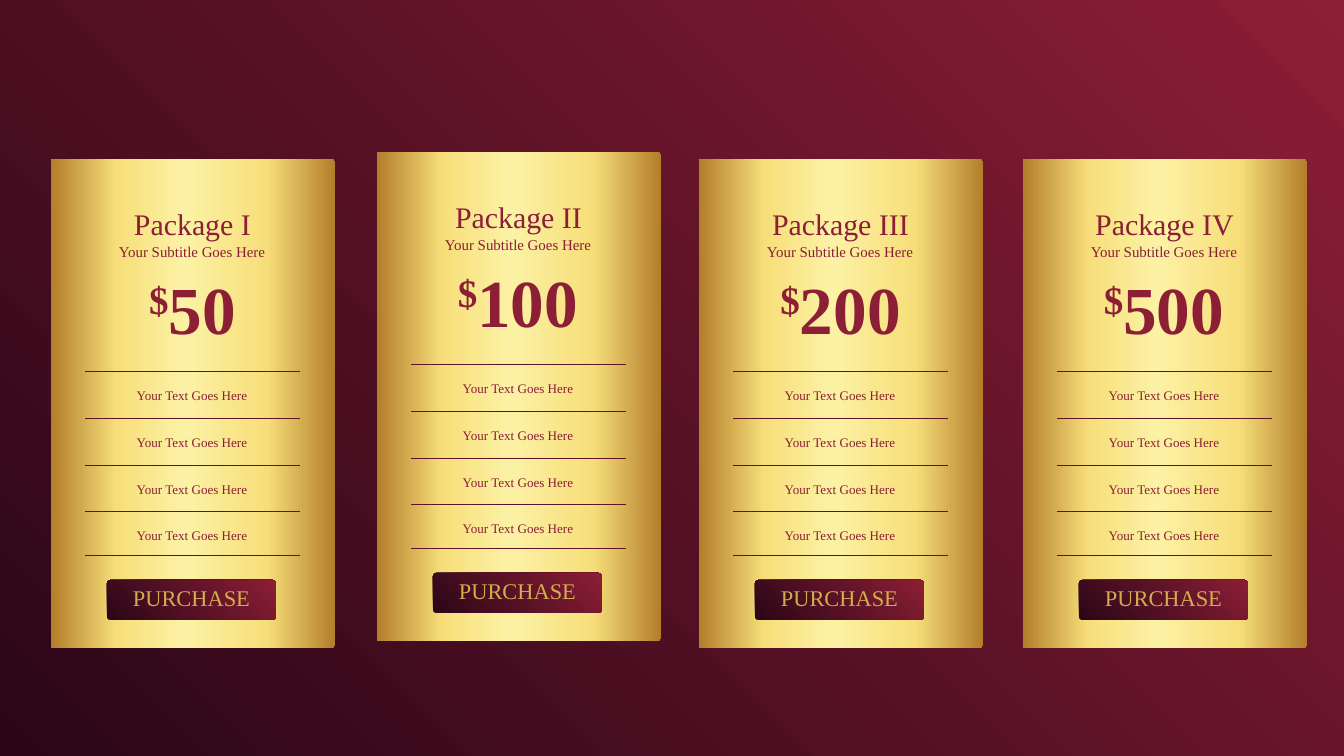
import pptx
import pptx.util
from pptx.dml.color import RGBColor
from pptx.enum.shapes import MSO_CONNECTOR, MSO_SHAPE
from pptx.enum.text import MSO_ANCHOR, MSO_AUTO_SIZE, PP_ALIGN
from pptx.oxml.ns import qn
from pptx.oxml.xmlchemy import OxmlElement

PX = pptx.util.Inches(20) / 1344

WINE = [(0, "8C1E35"), (100, "2A0617")]
BRASS = [(0, "E1B574"), (48, "D4AC50"), (100, "B88530")]
GOLD = [(0, "B37E2A"), (24, "F7DE7A"), (53, "FCF2A5"), (77, "F7DE7A"), (100, "B37E2A")]

# title, amount, card left, card top, width of the price box
PACKAGES = [
    ("Package I", "50", 51, 159, 133),
    ("Package II", "100", 377, 152, 190),
    ("Package III", "200", 699, 159, 177),
    ("Package IV", "500", 1023, 159, 200),
]
RULES = [212, 259, 306, 352, 396]  # below the top of the card


def px(n):
    return pptx.util.Emu(round(n * PX))


def rgb(color):
    return RGBColor.from_string(color)


def add_child(parent, tag, **attributes):
    child = OxmlElement(tag)
    for name, value in attributes.items():
        child.set(name, str(value))
    parent.append(child)
    return child


def set_gradient(fill, owner, stops, angle=None):
    """Linear when an angle is given, otherwise circular from the top right corner."""
    fill.gradient()
    grad = next(owner.iter(qn("a:gradFill")))
    for child in list(grad):
        grad.remove(child)
    gs_list = add_child(grad, "a:gsLst")
    for position, color in stops:
        gs = add_child(gs_list, "a:gs", pos=position * 1000)
        add_child(gs, "a:srgbClr", val=color)
    if angle is not None:
        add_child(grad, "a:lin", ang=angle * 60000, scaled=0)
    else:
        circle = add_child(grad, "a:path", path="circle")
        add_child(circle, "a:fillToRect", l=100000, b=100000)


class Deck:
    font = "Times New Roman"
    rule_color = "5F1327"

    def __init__(self):
        self.prs = pptx.Presentation()
        self.prs.slide_width, self.prs.slide_height = px(1344), px(756)
        self.s = self.prs.slides.add_slide(self.prs.slide_layouts[6])
        set_gradient(self.s.background.fill, self.s._element, WINE)
        self.shapes = self.s.shapes

    def start_group(self):
        self.shapes = self.s.shapes.add_group_shape().shapes

    def panel(self, x, y, w, h, radius, stops, angle=None):
        sp = self.shapes.add_shape(MSO_SHAPE.ROUNDED_RECTANGLE, px(x), px(y), px(w), px(h))
        sp.adjustments[0] = radius
        sp.shadow.inherit = False
        set_gradient(sp.fill, sp._element, stops, angle)
        sp.line.fill.background()
        return sp

    def fill_text(self, tf, runs, size, stops=WINE, bold=False, spacing=None):
        p = tf.paragraphs[0]
        p.alignment = PP_ALIGN.CENTER
        if spacing:
            p.line_spacing = spacing
        p.font.name, p.font.size, p.font.bold = self.font, pptx.util.Pt(size), bold
        set_gradient(p.font.fill, p._p, stops)
        for text in runs:
            p.add_run().text = text
        return p

    def text(self, x, y, w, h, runs, size, **style):
        tf = self.shapes.add_textbox(px(x), px(y), px(w), px(h)).text_frame
        tf.word_wrap = True
        tf.auto_size = MSO_AUTO_SIZE.SHAPE_TO_FIT_TEXT
        return self.fill_text(tf, runs, size, **style)

    def price(self, x, y, w, h, amount):
        p = self.text(x, y, w, h, ["$", amount], 72, bold=True)
        p.runs[0]._r.get_or_add_rPr().set("baseline", "30000")

    def rule(self, x, y, w):
        line = self.shapes.add_connector(MSO_CONNECTOR.STRAIGHT, px(x), px(y), px(x + w), px(y))
        line.line.color.rgb = rgb(self.rule_color)
        line.line.width = pptx.util.Pt(0.5)
        add_child(line._element.spPr, "a:effectLst")

    def button(self, x, y, w, h, label):
        tf = self.panel(x, y, w, h, 0.08, WINE).text_frame
        tf.vertical_anchor = MSO_ANCHOR.MIDDLE
        self.fill_text(tf, [label], 24, stops=BRASS, spacing=0.8)

    def card(self, title, amount, x, y, price_width):
        self.start_group()
        self.panel(x, y, 284, 489, 0.011, GOLD, angle=180)
        self.text(x + 30, y + 43, 223, 43, [title], 32)
        self.price(x + 141 - price_width // 2, y + 105, price_width, 88, amount)
        self.text(x + 30, y + 75, 222, 28, ["Your Subtitle Goes Here"], 16, spacing=1.3)
        for offset in RULES:
            self.rule(x + 34, y + offset, 215)
        for offset in RULES[:-1]:
            self.text(x + 48, y + offset + 13, 186, 23, ["Your Text Goes Here"], 14)
        self.button(x + 56, y + 421, 169, 40, "PURCHASE")


def main():
    deck = Deck()
    for package in PACKAGES:
        deck.card(*package)
    deck.prs.save("out.pptx")


if __name__ == "__main__":
    main()
